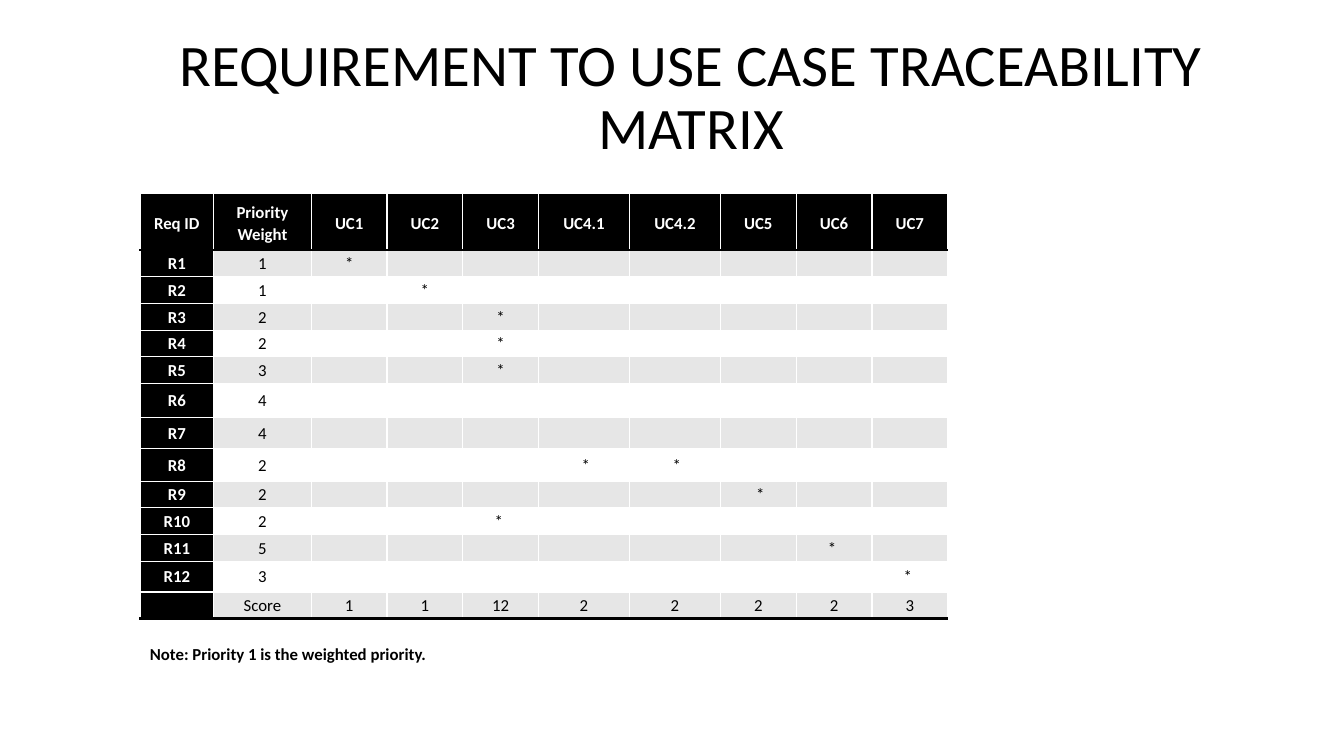
from dataclasses import dataclass

from lxml.etree import SubElement
from pptx import Presentation
from pptx.dml.color import RGBColor
from pptx.enum.text import MSO_ANCHOR, PP_ALIGN
from pptx.oxml.ns import qn
from pptx.util import Pt


@dataclass(frozen=True)
class Theme:
    font: str = "Calibri"
    black: str = "000000"
    white: str = "FFFFFF"
    band: str = "E6E6E6"
    title_size: float = 42
    body_size: float = 12
    thin_line: float = 1
    thick_line: float = 2
    inset: float = 3.6


class SlideBuilder:
    """Adds styled elements to one slide."""

    def __init__(self, slide, theme):
        self.slide = slide
        self.theme = theme

    def format_text(self, paragraph, size, color, bold):
        for run in paragraph.runs:
            run.font.name = self.theme.font
            run.font.size = Pt(size)
            run.font.bold = bold
            run.font.color.rgb = RGBColor.from_string(color)

    def text(self, content, box, size, bold=False, align=PP_ALIGN.LEFT,
             anchor=MSO_ANCHOR.TOP, line_spacing=1.0):
        shape = self.slide.shapes.add_textbox(*map(Pt, box))
        frame = shape.text_frame
        frame.word_wrap = True
        frame.vertical_anchor = anchor
        frame.margin_left = frame.margin_right = Pt(self.theme.inset)
        frame.margin_top = frame.margin_bottom = Pt(self.theme.inset)
        frame.text = content
        paragraph = frame.paragraphs[0]
        paragraph.alignment = align
        paragraph.line_spacing = line_spacing
        self.format_text(paragraph, size, self.theme.black, bold)

    def border(self, cell, side, color, width):
        properties = cell._tc.get_or_add_tcPr()
        line = SubElement(properties, qn(f"a:ln{side}"), w=str(Pt(width)))
        fill = SubElement(line, qn("a:solidFill"))
        SubElement(fill, qn("a:srgbClr"), val=color)

    def cell(self, cell, content, fill, color, bold, heavy_sides):
        theme = self.theme
        cell.margin_left = cell.margin_right = 0
        cell.margin_top = cell.margin_bottom = 0
        cell.vertical_anchor = MSO_ANCHOR.MIDDLE
        for side in "LRTB":
            if side in heavy_sides:
                self.border(cell, side, theme.black, theme.thick_line)
            else:
                self.border(cell, side, theme.white, theme.thin_line)
        cell.fill.solid()
        cell.fill.fore_color.rgb = RGBColor.from_string(fill)
        paragraph = cell.text_frame.paragraphs[0]
        paragraph.alignment = PP_ALIGN.CENTER
        paragraph.line_spacing = 1.07
        if content:
            paragraph.text = content
            self.format_text(paragraph, theme.body_size, color, bold)
        else:
            SubElement(paragraph._p, qn("a:endParaRPr"),
                       sz=str(int(theme.body_size * 100)))

    def matrix(self, rows, left, top, widths, heights):
        theme = self.theme
        frame = self.slide.shapes.add_table(
            len(rows), len(widths), Pt(left), Pt(top),
            Pt(sum(widths)), Pt(sum(heights)))
        table = frame.table
        table.horz_banding = False
        for column, width in zip(table.columns, widths):
            column.width = Pt(width)
        for row, height in zip(table.rows, heights):
            row.height = Pt(height)
        heavy = {0: "TB", 1: "T", len(rows) - 1: "B"}
        for r, values in enumerate(rows):
            band = theme.band if r % 2 else theme.white
            for c, value in enumerate(values):
                heading = r == 0 or c == 0
                self.cell(table.cell(r, c), value,
                          fill=theme.black if heading else band,
                          color=theme.white if heading else theme.black,
                          bold=heading, heavy_sides=heavy.get(r, ""))


USE_CASES = ["UC1", "UC2", "UC3", "UC4.1", "UC4.2", "UC5", "UC6", "UC7"]
SCORES = ["1", "1", "12", "2", "2", "2", "2", "3"]
ROW_HEIGHT = 19.05
REQUIREMENTS = [
    (1, {"UC1": "*"}, ROW_HEIGHT),
    (1, {"UC2": "*"}, ROW_HEIGHT),
    (2, {"UC3": "*"}, ROW_HEIGHT),
    (2, {"UC3": "*"}, ROW_HEIGHT),
    (3, {"UC3": "*"}, ROW_HEIGHT),
    (4, {}, 24.2),
    (4, {}, 22),
    (2, {"UC4.1": "\u00a0*", "UC4.2": "\u00a0*"}, 23.6),
    (2, {"UC5": "\u00a0*"}, ROW_HEIGHT),
    (2, {"UC3": "*\u00a0"}, ROW_HEIGHT),
    (5, {"UC6": "*\u00a0"}, ROW_HEIGHT),
    (3, {"UC7": "*\u00a0"}, 22),
]


def main():
    presentation = Presentation()
    presentation.slide_width = Pt(960)
    presentation.slide_height = Pt(540)
    slide = presentation.slides.add_slide(presentation.slide_layouts[6])
    theme = Theme()
    builder = SlideBuilder(slide, theme)

    builder.text("REQUIREMENT TO USE CASE TRACEABILITY MATRIX",
                 (105.8, 13, 775.4, 106.5), theme.title_size,
                 align=PP_ALIGN.CENTER, anchor=MSO_ANCHOR.BOTTOM,
                 line_spacing=0.9)

    rows = [["Req ID", "Priority Weight", *USE_CASES]]
    for number, (weight, marks, _) in enumerate(REQUIREMENTS, 1):
        rows.append([f"R{number}", str(weight),
                     *(marks.get(use_case, "") for use_case in USE_CASES)])
    rows.append(["", "Score", *SCORES])

    widths = [52.6, 69.8, *(65 if "." in name else 54.1 for name in USE_CASES)]
    heights = [39.2, *(height for _, _, height in REQUIREMENTS), ROW_HEIGHT]
    builder.matrix(rows, 100, 139.5, widths, heights)

    builder.text("Note: Priority 1 is the weighted priority.",
                 (103.5, 456, 319, 19.5), theme.body_size, bold=True)
    presentation.save("out.pptx")


main()
